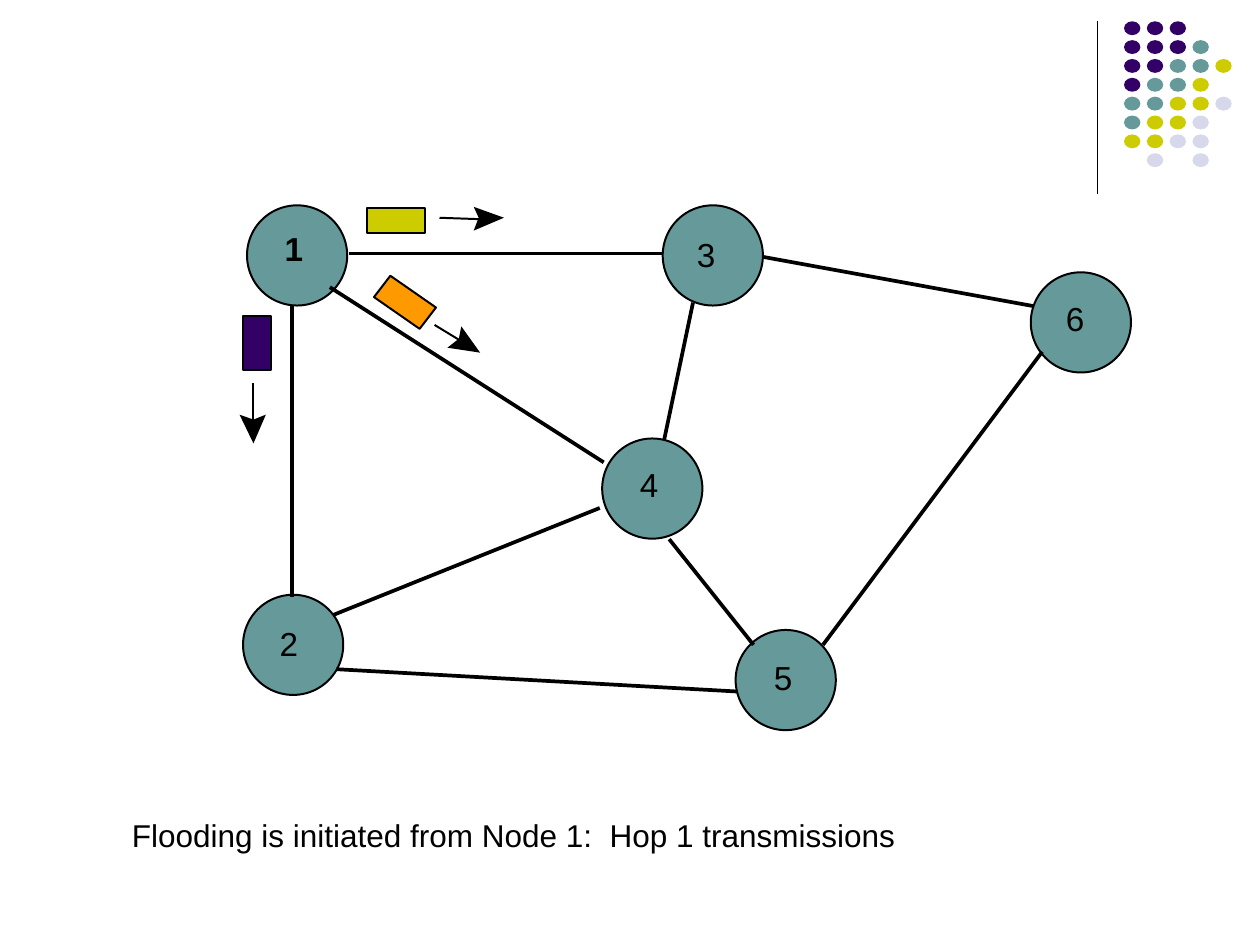
import pptx
import pptx.dml.color
import pptx.enum.shapes
import pptx.enum.text
import pptx.oxml.ns
import pptx.util
from lxml import etree

Cm = pptx.util.Cm
Pt = pptx.util.Pt
SHAPES = pptx.enum.shapes.MSO_SHAPE

BLACK, PURPLE, TEAL = "000000", "330066", "669999"
OLIVE, LAVENDER, ORANGE = "CCCC00", "D8D8EC", "FF9900"

DOT_COLOURS = {"P": PURPLE, "T": TEAL, "O": OLIVE, "L": LAVENDER}
DOT_ROWS = ["PPP", "PPPT", "PPTTO", "PTTO", "TTOOL", "TOOL", "OOLL", " L L"]

NODE_SIZE = 2.02
# node: (left, top), (label left, label top)
NODES = {
    "1": ((4.98, 4.14), (5.74, 4.6)),
    "2": ((4.9, 11.99), (5.64, 12.57)),
    "3": ((13.36, 4.14), (14.05, 4.72)),
    "4": ((12.14, 8.84), (12.9, 9.35)),
    "5": ((14.83, 12.7), (15.6, 13.26)),
    "6": ((20.78, 5.49), (21.49, 6.02)),
}
LINKS = [
    ((7.04, 5.11), (13.34, 5.11)),
    ((13.97, 6.1), (13.39, 8.86)),
    ((13.49, 10.87), (15.19, 13)),
    ((15.39, 5.18), (20.83, 6.17)),
    ((16.59, 13), (21.01, 7.09)),
    ((14.86, 13.94), (6.78, 13.49)),
    ((5.89, 6.17), (5.89, 12.04)),
    ((6.65, 5.79), (12.17, 9.32)),
    ((12.09, 10.24), (6.71, 12.4)),
]
ORANGE_PACKET = [(7.87, 5.56), (7.54, 5.99), (8.46, 6.63), (8.79, 6.2)]
# shaft start, shaft end, arrowhead corners
ARROWS = [
    ((8.86, 4.39), (9.73, 4.42),
     [(9.55, 4.65), (9.65, 4.39), (9.55, 4.17), (10.16, 4.39)]),
    ((8.76, 6.55), (9.27, 6.86),
     [(9.02, 7.01), (9.25, 6.83), (9.3, 6.58), (9.68, 7.11)]),
    ((5.11, 7.72), (5.11, 8.53),
     [(4.83, 8.36), (5.11, 8.46), (5.36, 8.36), (5.11, 8.94)]),
]


def colour(value):
    return pptx.dml.color.RGBColor.from_string(value)


class Diagram:
    """Draws on one page; positions are in centimetres."""
    font = "Arial"
    outline = 1.13
    link_width = 2.13

    def __init__(self, page):
        self.page = page

    def paint(self, shape, fill, outlined):
        shape.shadow.inherit = False
        shape.fill.solid()
        shape.fill.fore_color.rgb = colour(fill)
        if outlined:
            shape.line.color.rgb = colour(BLACK)
            shape.line.width = Pt(self.outline)
        else:
            shape.line.fill.background()

    def shape(self, kind, left, top, width, height, fill, outlined=True):
        shape = self.page.shapes.add_shape(
            kind, Cm(left), Cm(top), Cm(width), Cm(height))
        self.paint(shape, fill, outlined)

    def polygon(self, corners, fill, outlined=True):
        points = [(Cm(x), Cm(y)) for x, y in corners]
        builder = self.page.shapes.build_freeform(*points[0])
        builder.add_line_segments(points[1:], close=True)
        self.paint(builder.convert_to_shape(), fill, outlined)

    def line(self, start, end, width):
        line = self.page.shapes.add_connector(
            pptx.enum.shapes.MSO_CONNECTOR.STRAIGHT,
            Cm(start[0]), Cm(start[1]), Cm(end[0]), Cm(end[1]))
        line.line.color.rgb = colour(BLACK)
        line.line.width = Pt(width)
        etree.SubElement(line._element.spPr, pptx.oxml.ns.qn("a:effectLst"))

    def arrow(self, start, end, head):
        self.line(start, end, self.outline)
        self.polygon(head, BLACK, outlined=False)

    def text(self, words, left, top, width, height, size, bold=False,
             margins=(0, 0), wrap=False):
        box = self.page.shapes.add_textbox(
            Cm(left), Cm(top), Cm(width), Cm(height))
        frame = box.text_frame
        frame.word_wrap = wrap
        frame.auto_size = pptx.enum.text.MSO_AUTO_SIZE.SHAPE_TO_FIT_TEXT
        frame.margin_left = frame.margin_right = Cm(margins[0])
        frame.margin_top = frame.margin_bottom = Cm(margins[1])
        span = frame.paragraphs[0].add_run()
        span.text = words
        span.font.name = self.font
        span.font.size = Pt(size)
        span.font.bold = bold
        span.font.color.rgb = colour(BLACK)

    def corner_ornament(self):
        self.line((22.12, 0.43), (22.12, 3.91), 0.75)
        for row, letters in enumerate(DOT_ROWS):
            for column, letter in enumerate(letters):
                if letter in DOT_COLOURS:
                    self.shape(SHAPES.OVAL, 22.66 + 0.46 * column,
                               0.43 + 0.38 * row, 0.33, 0.28,
                               DOT_COLOURS[letter], outlined=False)


def main():
    deck = pptx.Presentation()
    deck.slide_width, deck.slide_height = Cm(25.4), Cm(19.05)
    blank = deck.slide_layouts[6]
    diagram = Diagram(deck.slides.add_slide(blank))

    diagram.corner_ornament()
    for (left, top), _ in NODES.values():
        diagram.shape(SHAPES.OVAL, left, top, NODE_SIZE, NODE_SIZE, TEAL)
    for start, end in LINKS:
        diagram.line(start, end, diagram.link_width)
    for name, (_, (left, top)) in NODES.items():
        diagram.text(name, left, top, 0.38, 0.81, 19, bold=name == "1")

    diagram.shape(SHAPES.RECTANGLE, 7.39, 4.19, 1.17, 0.51, OLIVE)
    diagram.shape(SHAPES.RECTANGLE, 4.9, 6.38, 0.56, 1.09, PURPLE)
    diagram.polygon(ORANGE_PACKET, ORANGE)
    for start, end, head in ARROWS:
        diagram.arrow(start, end, head)

    diagram.text("Flooding is initiated from Node 1:  Hop 1 transmissions",
                 2.41, 16.33, 17.04, 1.02, 18,
                 margins=(0.25, 0.13), wrap=True)
    deck.save("out.pptx")


if __name__ == "__main__":
    main()
